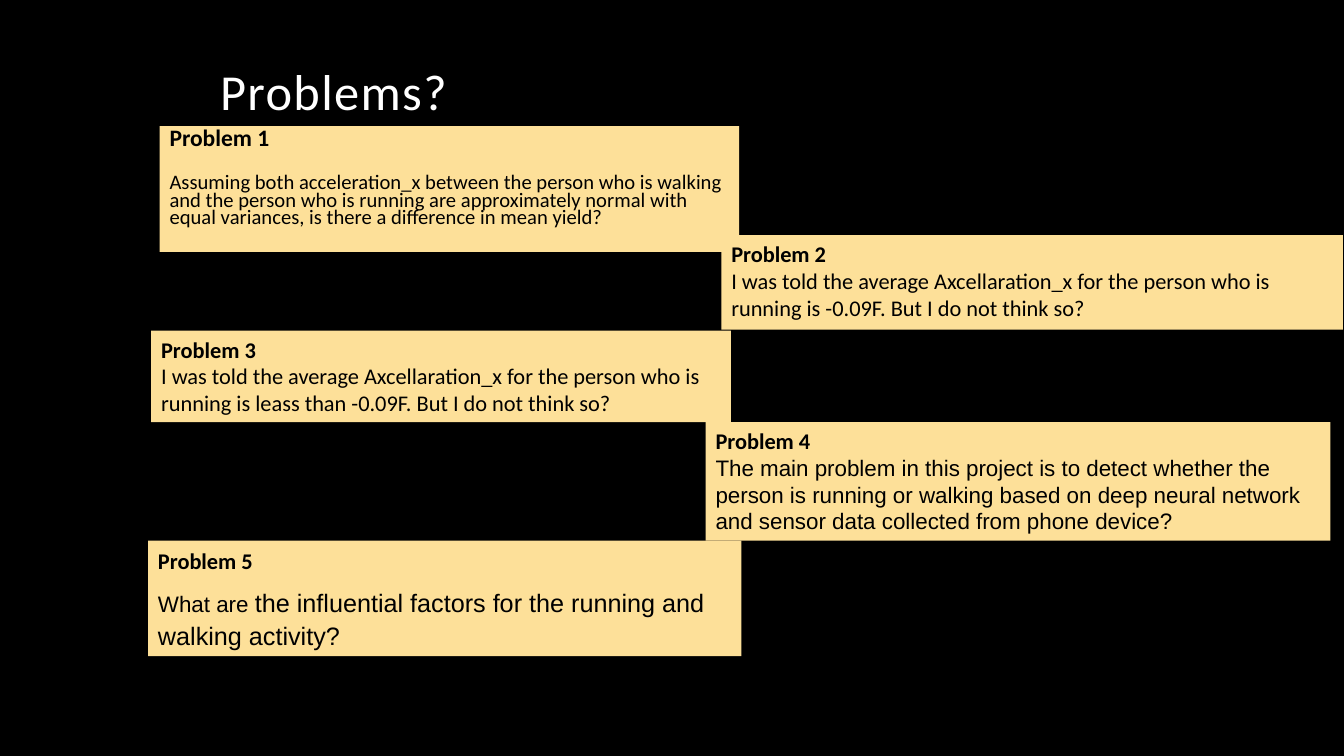
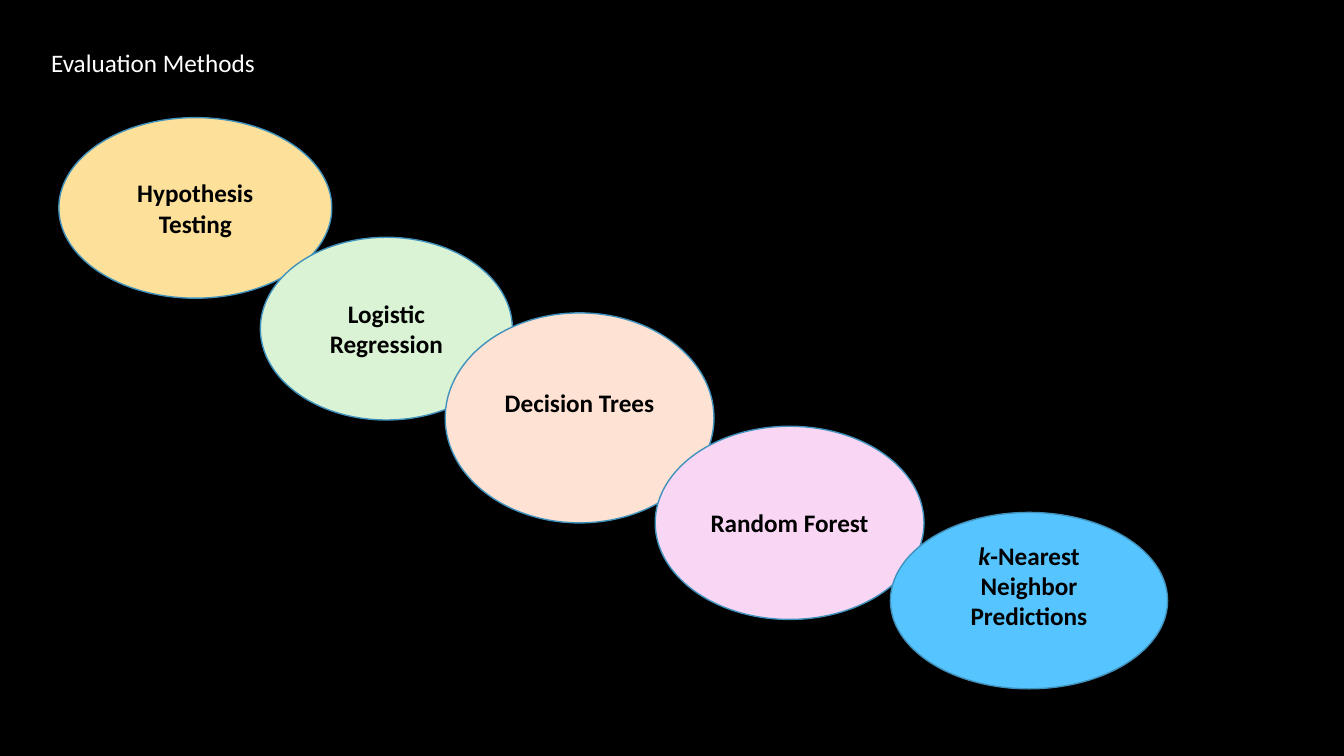
import pptx
import pptx.dml.color
import pptx.enum.shapes
import pptx.enum.text
import pptx.util

RGBColor = pptx.dml.color.RGBColor
BLACK = RGBColor(0x00, 0x00, 0x00)
WHITE = RGBColor(0xFF, 0xFF, 0xFF)
YELLOW = RGBColor(0xFD, 0xE0, 0x99)
GREEN = RGBColor(0xDA, 0xF3, 0xD5)
PEACH = RGBColor(0xFE, 0xE2, 0xD3)
PINK = RGBColor(0xF8, 0xD6, 0xF4)
BLUE = RGBColor(0x56, 0xC5, 0xFF)
OUTLINE = RGBColor(0x40, 0x92, 0xBD)

HEADING_FONT = "Calibri"
BODY_FONT = "Arial"
TITLE_ONLY = 5
EMU_PER_PX = 9525
TEXT_INSET = 5
METHOD_LINE = 29

MSO_SHAPE = pptx.enum.shapes.MSO_SHAPE
MSO_ANCHOR = pptx.enum.text.MSO_ANCHOR
PP_ALIGN = pptx.enum.text.PP_ALIGN


def px(length):
    return pptx.util.Emu(length * EMU_PER_PX)


def set_font(font, size, name=HEADING_FONT, color=BLACK, bold=False):
    font.size = pptx.util.Pt(size)
    font.name = name
    font.color.rgb = color
    font.bold = bold


def add_titled_slide(presentation, text, box, size, anchor, line_spacing=1.0, tracking=0):
    slide = presentation.slides.add_slide(presentation.slide_layouts[TITLE_ONLY])
    title = slide.shapes.title
    title.left, title.top, title.width, title.height = map(px, box)
    frame = title.text_frame
    frame.text = text
    frame.auto_size = pptx.enum.text.MSO_AUTO_SIZE.NONE
    frame.vertical_anchor = anchor
    paragraph = frame.paragraphs[0]
    paragraph.alignment = PP_ALIGN.LEFT
    paragraph.line_spacing = line_spacing
    set_font(paragraph.font, size, color=WHITE)
    if tracking:
        paragraph.runs[0]._r.get_or_add_rPr().set("spc", str(tracking))
    return slide


def add_filled_shape(slide, preset, box, fill, anchor):
    shape = slide.shapes.add_shape(preset, *map(px, box))
    shape.shadow.inherit = False
    shape.fill.solid()
    shape.fill.fore_color.rgb = fill
    shape.text_frame.word_wrap = True
    shape.text_frame.vertical_anchor = anchor
    return shape


def add_problem(slide, number, box, parts, heading_size=16, line_spacing=1.0, gap=0):
    shape = add_filled_shape(slide, MSO_SHAPE.RECTANGLE, box, YELLOW, MSO_ANCHOR.TOP)
    shape.line.fill.background()
    heading = shape.text_frame.paragraphs[0]
    heading.text = f"Problem {number}"
    set_font(heading.font, heading_size, bold=True)
    question = shape.text_frame.add_paragraph()
    question.space_before = pptx.util.Pt(gap)
    for text, size, font_name in parts:
        run = question.add_run()
        run.text = text
        set_font(run.font, size, font_name)
    for paragraph in (heading, question):
        paragraph.alignment = PP_ALIGN.LEFT
        paragraph.line_spacing = line_spacing


def add_method(slide, box, fill, parts, raised=False):
    shape = add_filled_shape(slide, MSO_SHAPE.OVAL, box, fill, MSO_ANCHOR.MIDDLE)
    shape.line.color.rgb = OUTLINE
    shape.line.width = pptx.util.Pt(1)
    if raised:
        shape.text_frame.margin_bottom = px(TEXT_INSET + METHOD_LINE)
    paragraph = shape.text_frame.paragraphs[0]
    paragraph.alignment = PP_ALIGN.CENTER
    set_font(paragraph.font, 18, bold=True)
    for text, italic in parts:
        run = paragraph.add_run()
        run.text = text
        if italic:
            run.font.italic = True


def build_problems(presentation):
    slide = add_titled_slide(presentation, "Problems?", (200, 40, 920, 80), 36,
                             MSO_ANCHOR.BOTTOM, line_spacing=0.9, tracking=100)
    add_problem(slide, 1, (152, 120, 552, 120), [
        ("Assuming both acceleration_x between the person who is walking and the person "
         "who is running are approximately normal with equal variances, is there a "
         "difference in mean yield?", 14.7, HEADING_FONT),
    ], heading_size=16.8, line_spacing=0.7, gap=18)
    add_problem(slide, 2, (687, 224, 592, 90), [
        ("I was told the average Axcellaration_x for the person who is running is -0.09F. "
         "But I do not think so?", 16, HEADING_FONT),
    ])
    add_problem(slide, 3, (144, 315, 552, 87), [
        ("I was told the average Axcellaration_x for the person who is running is leass "
         "than -0.09F. But I do not think so?", 16, HEADING_FONT),
    ])
    add_problem(slide, 4, (672, 402, 595, 113), [
        ("The main problem in this project is to detect whether the person is running or "
         "walking based on deep neural network and sensor data collected from phone "
         "device?", 16, BODY_FONT),
    ])
    add_problem(slide, 5, (141, 515, 565, 110), [
        ("What are ", 16, BODY_FONT),
        ("the influential factors for the running and walking activity?", 18, BODY_FONT),
    ], line_spacing=1.07, gap=8)


def build_methods(presentation):
    slide = add_titled_slide(presentation, "Evaluation Methods", (39, 40, 312, 38), 18,
                             MSO_ANCHOR.TOP)
    add_method(slide, (56, 112, 260, 172), YELLOW, [("Hypothesis Testing", False)])
    add_method(slide, (248, 226, 240, 174), GREEN, [("Logistic Regression", False)])
    add_method(slide, (424, 298, 256, 200), PEACH, [("Decision Trees", False)], raised=True)
    add_method(slide, (624, 406, 256, 184), PINK, [("Random Forest", False)])
    add_method(slide, (848, 488, 264, 168), BLUE,
               [("k", True), ("-Nearest Neighbor Predictions", False)], raised=True)


def main():
    presentation = pptx.Presentation()
    presentation.slide_width = px(1280)
    presentation.slide_height = px(720)
    background = presentation.slide_master.background.fill
    background.solid()
    background.fore_color.rgb = BLACK
    build_problems(presentation)
    build_methods(presentation)
    presentation.save("out.pptx")


if __name__ == "__main__":
    main()
